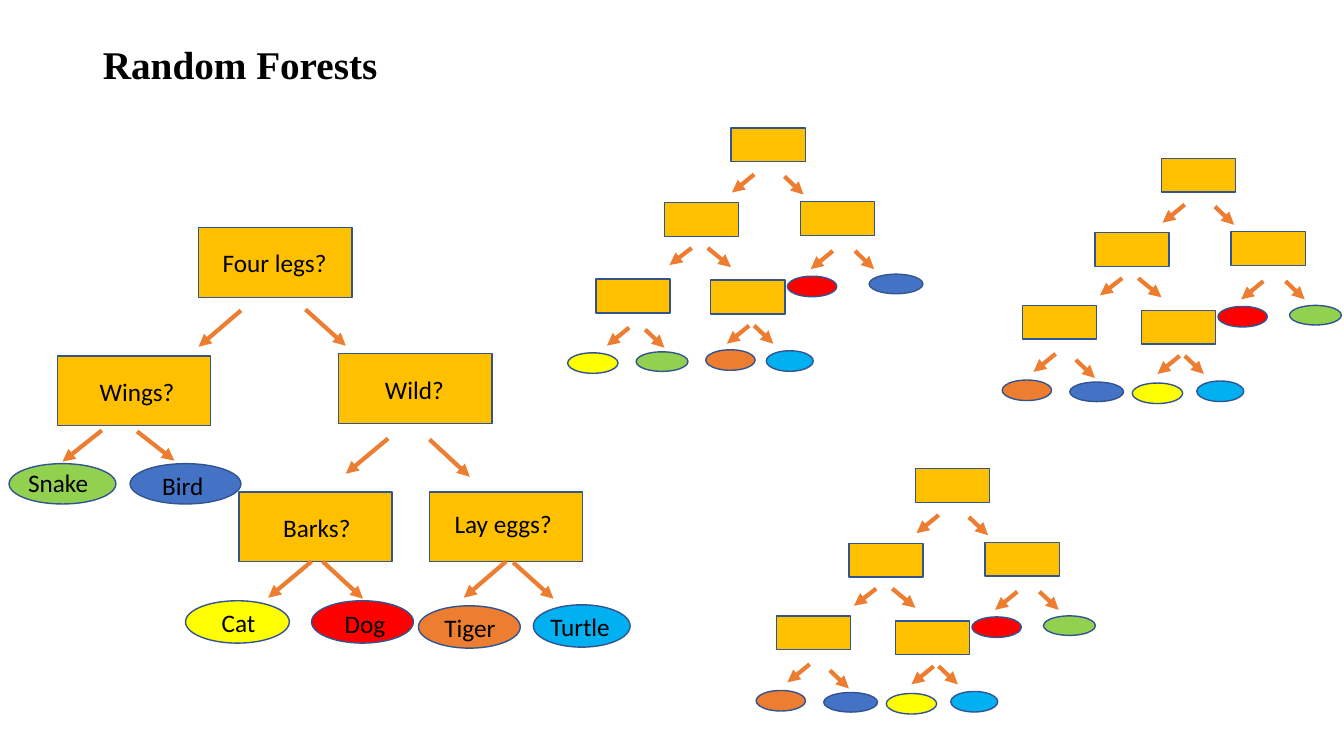
from lxml import etree
from pptx import Presentation
from pptx.dml.color import RGBColor
from pptx.enum.shapes import MSO_CONNECTOR, MSO_SHAPE
from pptx.enum.text import MSO_ANCHOR, MSO_AUTO_SIZE, PP_ALIGN
from pptx.oxml.ns import qn
from pptx.util import Inches, Pt

RECT, OVAL = MSO_SHAPE.RECTANGLE, MSO_SHAPE.OVAL
STRAIGHT = MSO_CONNECTOR.STRAIGHT
TOP, LEFT = MSO_ANCHOR.TOP, PP_ALIGN.LEFT
NO_FIT, GROW = MSO_AUTO_SIZE.NONE, MSO_AUTO_SIZE.SHAPE_TO_FIT_TEXT
BOTTOM_SIDE = 2

COLORS = {
    "text": "000000", "outline": "325491", "arrow": "ED7D31", "question": "FFC000",
    "bird": "4472C4", "cat": "FFFF00", "dog": "FF0000",
    "tiger": "ED7D31", "turtle": "00B0F0", "snake": "92D050",
}
SIZES = {
    "question": (1.52, 0.69), "bird": (1.10, 0.40), "cat": (1.03, 0.42),
    "dog": (1.01, 0.42), "tiger": (1.01, 0.42), "turtle": (0.96, 0.42),
    "snake": (1.06, 0.40),
}
SMALL_SCALE = 0.485
TITLE_FONT = {"name": "Times New Roman", "size": Pt(28), "bold": True}
LABEL_FONT = {"name": "Calibri", "size": Pt(18)}

MAIN_ROOT = (1.97, 2.26)
MAIN_QUESTIONS = [(0, 0), (-1.4, 1.27), (1.39, 1.25), (0.4, 2.62), (2.29, 2.62)]
MAIN_LEAVES = {
    "bird": (-0.68, 2.34), "cat": (-0.13, 3.7), "dog": (1.12, 3.7),
    "tiger": (2.18, 3.75), "turtle": (3.32, 3.74), "snake": (-1.88, 2.34),
}
MAIN_ARROWS = [
    (0.42, 0.82, -0.42, 0.36), (1.88, 2.09, -0.42, 0.35),
    (-0.96, 2.01, -0.39, 0.31), (1.12, 3.31, -0.43, 0.36),
    (-0.61, 2.02, 0.37, 0.29), (1.06, 0.81, 0.4, 0.36),
    (2.29, 2.1, 0.4, 0.37), (1.23, 3.31, 0.4, 0.37),
    (3.12, 3.32, 0.4, 0.36), (3.05, 3.31, -0.42, 0.36),
]
MAIN_LABELS = [
    ("Four legs?", 0.14, 0.14, 1.32), ("Wings?", -1.08, 1.42, 1.33),
    ("Cat", 0.13, 3.72, 2.31), ("Bird", -0.46, 2.36, 0.61),
    ("Wild?", 1.75, 1.4, 0.87), ("Dog", 1.35, 3.73, 0.64),
    ("Barks?", 0.74, 2.77, 2.31), ("Tiger", 2.34, 3.77, 0.84),
    ("Turtle", 3.39, 3.76, 2.31), ("Lay eggs?", 2.44, 2.73, 1.3),
    ("Snake", -1.79, 2.33, 0.85),
]

SMALL_QUESTIONS = [(0, 0), (-0.66, 0.74), (0.69, 0.73), (-0.2, 1.51)]
SMALL_ARROWS = [
    (0.23, 0.46, -0.22, 0.18), (1.01, 1.22, -0.22, 0.18),
    (-0.39, 1.19, -0.22, 0.17), (0.18, 1.96, -0.22, 0.18),
    (-0.23, 1.19, 0.23, 0.19), (0.53, 0.48, 0.19, 0.18),
    (1.23, 1.22, 0.19, 0.18), (0.23, 1.96, 0.19, 0.18),
    (-0.85, 2, 0.19, 0.18),
]
BIRD_RIGHT = {
    "question": (-1.34, 1.5), "arrow": (-1.01, 1.98, -0.22, 0.18),
    "leaves": {
        "bird": (1.37, 1.45), "cat": (-1.62, 2.23), "dog": (0.56, 1.47),
        "tiger": (-0.25, 2.2), "turtle": (0.35, 2.21), "snake": (-0.94, 2.22),
    },
}
SNAKE_RIGHT = {
    "question": (-1.38, 1.46), "arrow": (-1.05, 1.94, -0.22, 0.18),
    "leaves": {
        "bird": (-0.91, 2.22), "cat": (-0.29, 2.23), "dog": (0.56, 1.47),
        "tiger": (-1.58, 2.2), "turtle": (0.35, 2.21), "snake": (1.27, 1.46),
    },
}
SMALL_TREES = [
    ((7.25, 1.27), BIRD_RIGHT),
    ((9.08, 4.65), SNAKE_RIGHT),
    ((11.52, 1.57), SNAKE_RIGHT),
]


def rgb(name):
    return RGBColor.from_string(COLORS[name])


def write(tf, text, fmt):
    p = tf.paragraphs[0]
    p.alignment = LEFT
    r = p.add_run()
    r.text = text
    for key, value in fmt.items():
        setattr(r.font, key, value)
    r.font.color.rgb = rgb("text")
    return p


def add_title(slide, text, box):
    sp = slide.shapes.title
    sp.left, sp.top, sp.width, sp.height = map(Inches, box)
    tf = sp.text_frame
    for key, value in {"vertical_anchor": TOP, "auto_size": NO_FIT, "word_wrap": True}.items():
        setattr(tf, key, value)
    write(tf, text, TITLE_FONT).line_spacing = 0.9


def add_node(slide, kind, x, y, scale):
    w, h = SIZES[kind]
    geometry = RECT if kind == "question" else OVAL
    sp = slide.shapes.add_shape(
        geometry, Inches(x), Inches(y), Inches(w * scale), Inches(h * scale))
    sp.shadow.inherit = False
    sp.fill.solid()
    sp.fill.fore_color.rgb = rgb(kind)
    sp.line.color.rgb = rgb("outline")
    sp.line.width = Pt(1)
    return sp


def add_arrow(slide, x, y, dx, dy):
    cxn = slide.shapes.add_connector(
        STRAIGHT, Inches(x), Inches(y), Inches(x + dx), Inches(y + dy))
    cxn.line.color.rgb = rgb("arrow")
    cxn.line.width = Pt(3)
    etree.SubElement(cxn.line._get_or_add_ln(), qn("a:tailEnd"), type="triangle")
    etree.SubElement(cxn._element.spPr, qn("a:effectLst"))
    return cxn


def add_label(slide, text, x, y, w):
    tb = slide.shapes.add_textbox(Inches(x), Inches(y), Inches(w), Inches(0.4))
    tf = tb.text_frame
    tf.word_wrap = True
    tf.auto_size = GROW
    write(tf, text, LABEL_FONT)


def draw_tree(slide, root, questions, leaves, arrows, scale):
    left, top = root
    boxes = [add_node(slide, "question", left + x, top + y, scale) for x, y in questions]
    for animal, (x, y) in leaves.items():
        add_node(slide, animal, left + x, top + y, scale)
    lines = [add_arrow(slide, left + x, top + y, dx, dy) for x, y, dx, dy in arrows]
    return boxes, lines


def draw_main_tree(slide, root):
    boxes, lines = draw_tree(slide, root, MAIN_QUESTIONS, MAIN_LEAVES, MAIN_ARROWS, 1)
    lines[-1].begin_connect(boxes[-1], BOTTOM_SIDE)
    left, top = root
    for text, x, y, w in MAIN_LABELS:
        add_label(slide, text, left + x, top + y, w)


def draw_small_tree(slide, root, variant):
    draw_tree(slide, root, SMALL_QUESTIONS + [variant["question"]], variant["leaves"],
              SMALL_ARROWS + [variant["arrow"]], SMALL_SCALE)


def main():
    prs = Presentation()
    prs.slide_width, prs.slide_height = Inches(13.33), Inches(7.5)
    slide = prs.slides.add_slide(prs.slide_layouts[5])
    add_title(slide, "Random Forests", (0.92, 0.4, 11.5, 0.97))
    draw_main_tree(slide, MAIN_ROOT)
    for root, variant in SMALL_TREES:
        draw_small_tree(slide, root, variant)
    prs.save("out.pptx")


if __name__ == "__main__":
    main()
